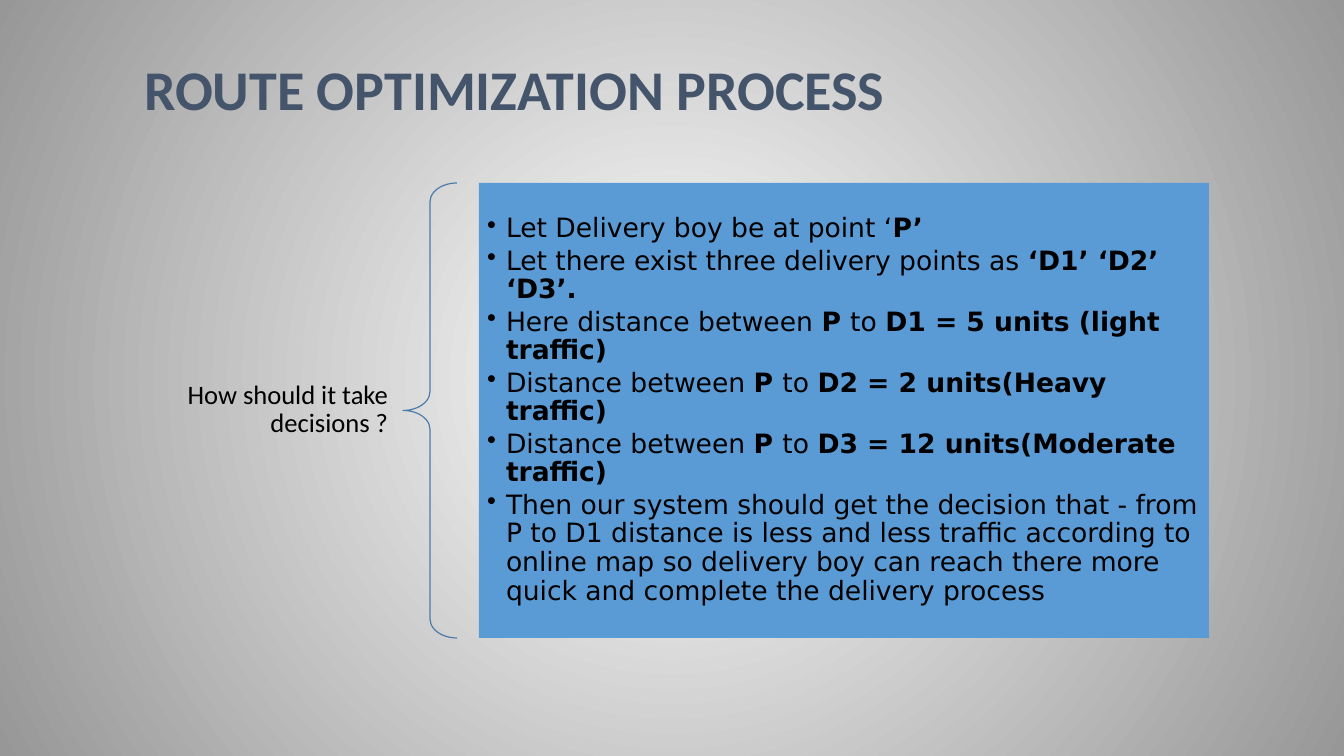
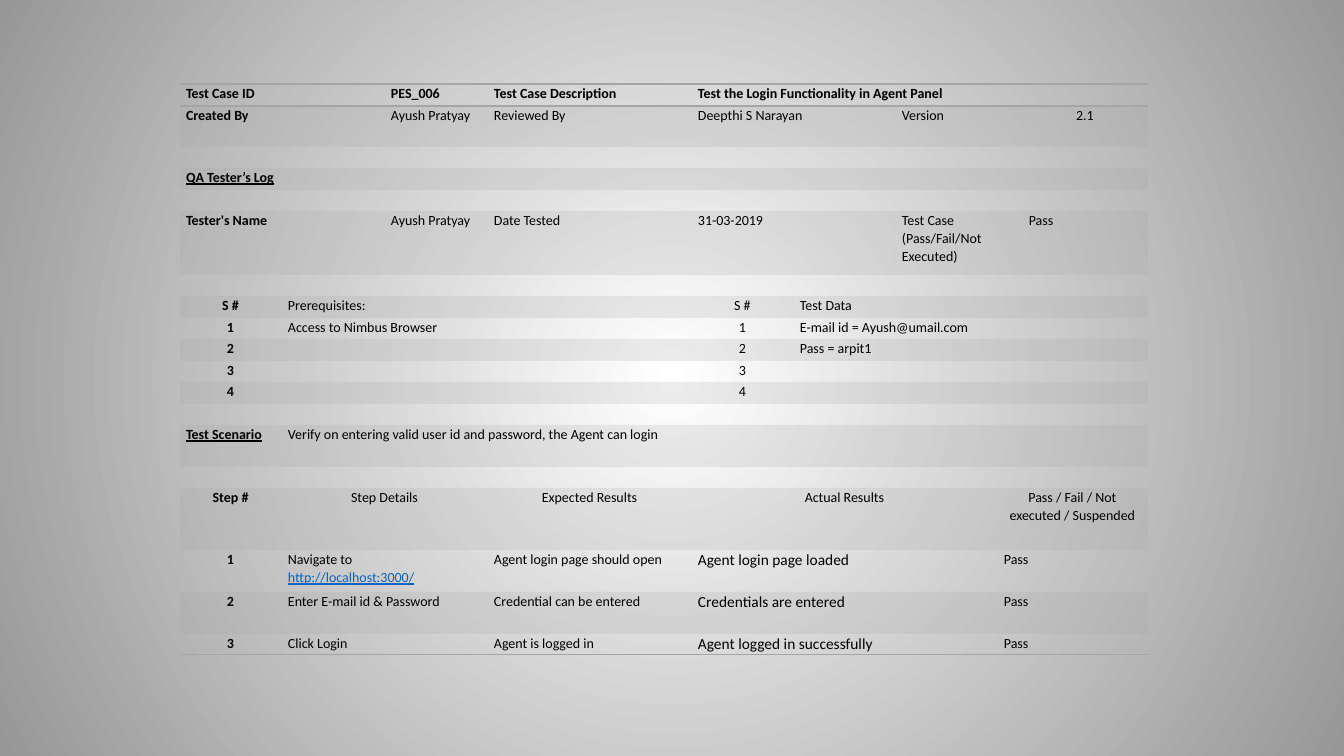
from dataclasses import dataclass

from lxml.etree import SubElement
from pptx import Presentation
from pptx.dml.color import RGBColor
from pptx.enum.shapes import MSO_SHAPE
from pptx.enum.text import MSO_ANCHOR, MSO_AUTO_SIZE, PP_ALIGN
from pptx.oxml.ns import qn
from pptx.util import Pt

PX = 12192000 / 1344


@dataclass(frozen=True)
class Theme:
    glow: str = "FFFFFF"
    edge: str = "979797"
    title: str = "44546A"
    ink: str = "000000"
    panel: str = "5B9BD5"
    brace: str = "497CAB"
    band: str = "A5A5A5"
    link: str = "0563C1"
    font: str = "Calibri"
    wide: str = "DejaVu Sans"
    head: int = 40
    body: int = 19
    cell: int = 10
    result: int = 11


THEME = Theme()
NO_STYLE = "{2D5ABB26-0587-4C30-8999-92F81FD0307C}"

POINTS = [
    "Let Delivery boy be at point ‘*P’",
    "Let there exist three delivery points as *‘D1’ ‘D2’ ‘D3’.",
    "Here distance between *P *to *D1 = 5 units (light traffic)",
    "Distance between *P *to *D2 = 2 units(Heavy traffic)",
    "Distance between *P *to *D3 = 12 units(Moderate traffic)",
    "Then our system should get the decision that - from P to D1 distance is "
    "less and less traffic according to online map so delivery boy can reach "
    "there more quick and complete the delivery process",
]

COLS = [102, 103, 103, 102, 102, 102, 102, 102, 25, 95, 30]
HEIGHTS = [22, 41, 21, 22, 21, 64, 21, 22, 21, 22, 21, 22, 21, 42, 21, 62,
           42, 42, 21]


def person(*parts):
    """Row of label and value pairs; marks follow each text after a bar."""
    return list(zip((0, 2, 3, 5, 7, 9), (2, 1, 2, 2, 2, 2), parts))


def listing(mark, need="", data=""):
    """Row with a numbered prerequisite and a numbered piece of test data."""
    return [(0, 1, mark + "|bc"), (1, 3, need), (5, 1, mark + "|c"),
            (6, 5, data)]


def step(*parts):
    return list(zip((0, 1, 3, 5, 8), (1, 2, 2, 3, 3), parts))


# Cells are (column, span, text|marks): b bold, u underline, c centred,
# r result size, l last word drawn as a link.
ROWS = [
    [(0, 2, "Test Case ID|b"), (2, 1, "PES_006|b"),
     (3, 2, "Test Case Description|b"),
     (5, 6, "Test the Login Functionality in Agent Panel|b")],
    person("Created By|b", "Ayush Pratyay", "Reviewed By",
           "Deepthi S Narayan", "Version", "2.1|c"),
    [],
    [(0, 2, "QA Tester’s Log|bu"), (2, 4, "")],
    [],
    person("Tester's Name|b", "Ayush Pratyay", "Date Tested", "31-03-2019",
           "Test Case (Pass/Fail/Not Executed)", "Pass"),
    [],
    listing("S #", "Prerequisites:", "Test Data"),
    listing("1", "Access to Nimbus Browser", "E-mail id = Ayush@umail.com"),
    listing("2", data="Pass = arpit1"),
    listing("3"),
    listing("4"),
    [],
    [(0, 1, "Test Scenario|bu"),
     (1, 6, "Verify on entering valid user id and password, "
            "the Agent can login")],
    [],
    step("Step #|bc", "Step Details|c", "Expected Results|c",
         "Actual Results|c", "Pass / Fail / Not executed / Suspended|c"),
    step("1|bc", "Navigate to http://localhost:3000/|l",
         "Agent login page should open", "Agent login page loaded|r", "Pass"),
    step("2|bc", "Enter E-mail id & Password", "Credential can be entered",
         "Credentials are entered|r", "Pass"),
    step("3|bc", "Click Login", "Agent is logged in",
         "Agent logged in successfully|r", "Pass"),
]


def px(*sizes):
    return [round(size * PX) for size in sizes]


def rgb(code):
    return RGBColor.from_string(code)


def style(para, size, color=THEME.ink, name=THEME.font, space=0.9):
    para.line_spacing = space
    para.font.size = Pt(size)
    para.font.name = name
    para.font.color.rgb = rgb(color)


def inset(frame, left, top, right, bottom):
    (frame.margin_left, frame.margin_top, frame.margin_right,
     frame.margin_bottom) = px(left, top, right, bottom)


def backdrop(master):
    """Give every slide the round grey gradient."""
    fill = master.background.fill
    fill.gradient()
    for stop, code in zip(fill.gradient_stops, (THEME.glow, THEME.edge)):
        stop.color.rgb = rgb(code)
    grad = master.element.find(".//" + qn("a:gradFill"))
    grad.remove(grad.find(qn("a:lin")))
    ring = SubElement(grad, qn("a:path"), path="circle")
    SubElement(ring, qn("a:fillToRect"), l="50000", t="50000", r="50000",
               b="50000")


def heading(slide, text, box):
    title = slide.shapes.title
    title.left, title.top, title.width, title.height = px(*box)
    frame = title.text_frame
    frame.text = text
    frame.auto_size = MSO_AUTO_SIZE.NONE
    frame.vertical_anchor = MSO_ANCHOR.BOTTOM
    para = frame.paragraphs[0]
    para.alignment = PP_ALIGN.LEFT
    style(para, THEME.head, THEME.title)
    para.font.bold = True


def question(slide, text, box):
    frame = slide.shapes.add_textbox(*px(*box)).text_frame
    frame.word_wrap = True
    frame.vertical_anchor = MSO_ANCHOR.MIDDLE
    inset(frame, 15, 5, 15, 5)
    para = frame.paragraphs[0]
    para.text = text
    para.alignment = PP_ALIGN.RIGHT
    style(para, THEME.body)


def bracket(slide, box):
    brace = slide.shapes.add_shape(MSO_SHAPE.LEFT_BRACE, *px(*box))
    brace.adjustments[0], brace.adjustments[1] = 0.35, 0.5
    brace.shadow.inherit = False
    brace.fill.background()
    brace.line.color.rgb = rgb(THEME.brace)
    brace.line.width = Pt(0.85)


def bullet(para, text):
    """Fill a bulleted paragraph; each star switches bold on or off."""
    hang = px(19)[0]
    props = para._p.get_or_add_pPr()
    props.set("marL", str(hang))
    props.set("indent", str(-hang))
    SubElement(props, qn("a:buChar"), char="•")
    para.alignment = PP_ALIGN.LEFT
    para.space_after = Pt(2.5)
    style(para, THEME.body, name=THEME.wide)
    for turn, part in enumerate(text.split("*")):
        run = para.add_run()
        run.text = part
        run.font.bold = turn % 2 == 1


def panel(slide, points, box):
    shape = slide.shapes.add_shape(MSO_SHAPE.RECTANGLE, *px(*box))
    shape.shadow.inherit = False
    shape.fill.solid()
    shape.fill.fore_color.rgb = rgb(THEME.panel)
    shape.line.fill.background()
    frame = shape.text_frame
    frame.word_wrap = True
    frame.vertical_anchor = MSO_ANCHOR.MIDDLE
    inset(frame, 8, 8, 8, 8)
    for spot, text in enumerate(points):
        para = frame.add_paragraph() if spot else frame.paragraphs[0]
        bullet(para, text)


def route(deck):
    slide = deck.slides.add_slide(deck.slide_layouts[5])
    heading(slide, "ROUTE OPTIMIZATION PROCESS", (134, 44, 1076, 84))
    top, tall = 183, 455
    question(slide, "How should it take decisions ?",
             (135, top + (tall - 70) // 2, 268, 70))
    bracket(slide, (403, top, 54, tall))
    panel(slide, POINTS, (479, top, 730, tall))


def rule(cell, side):
    line = SubElement(cell._tc.get_or_add_tcPr(), qn("a:ln" + side),
                      w=str(Pt(1)))
    fill = SubElement(line, qn("a:solidFill"))
    SubElement(fill, qn("a:srgbClr"), val=THEME.band)


def paint(cell, banded):
    if not banded:
        cell.fill.background()
        return
    cell.fill.solid()
    cell.fill.fore_color.rgb = rgb(THEME.band)
    tint = cell._tc.tcPr.find(".//" + qn("a:srgbClr"))
    SubElement(tint, qn("a:alpha"), val="20000")


def write(cell, entry):
    text, _, marks = entry.partition("|")
    para = cell.text_frame.paragraphs[0]
    size = THEME.result if "r" in marks else THEME.cell
    style(para, size, space=1.07)
    if "c" in marks:
        para.alignment = PP_ALIGN.CENTER
    para.font.bold = "b" in marks
    para.font.underline = "u" in marks
    if not text:
        SubElement(para._p, qn("a:endParaRPr"), sz=str(size * 100))
    elif "l" in marks:
        lead, gap, link = text.rpartition(" ")
        para.add_run().text = lead + gap
        run = para.add_run()
        run.text = link
        run.font.color.rgb = rgb(THEME.link)
        run.font.underline = True
    else:
        para.add_run().text = text


def grid(slide, left, top):
    """Place the test case table with its corner at left, top."""
    frame = slide.shapes.add_table(
        len(ROWS), len(COLS), *px(left, top, sum(COLS), sum(HEIGHTS)))
    table = frame.table
    table.first_row = table.horz_banding = False
    table._tbl.find(".//" + qn("a:tableStyleId")).text = NO_STYLE
    for col, wide in zip(table.columns, px(*COLS)):
        col.width = wide
    for row, tall in zip(table.rows, px(*HEIGHTS)):
        row.height = tall
    for y, parts in enumerate(ROWS):
        texts = {x: text for x, _, text in parts}
        for x in range(len(COLS)):
            cell = table.cell(y, x)
            inset(cell, 6, 0, 7, 0)
            if y == 0:
                rule(cell, "T")
            if y in (0, len(ROWS) - 1):
                rule(cell, "B")
            paint(cell, y % 2 == 1)
            write(cell, texts.get(x, ""))
        for x, span, _ in parts:
            if span > 1:
                table.cell(y, x).merge(table.cell(y, x + span - 1))


def report(deck):
    slide = deck.slides.add_slide(deck.slide_layouts[6])
    grid(slide, 180, 84)


def main():
    deck = Presentation()
    deck.slide_width, deck.slide_height = px(1344, 756)
    backdrop(deck.slide_master)
    route(deck)
    report(deck)
    deck.save("out.pptx")


if __name__ == "__main__":
    main()
